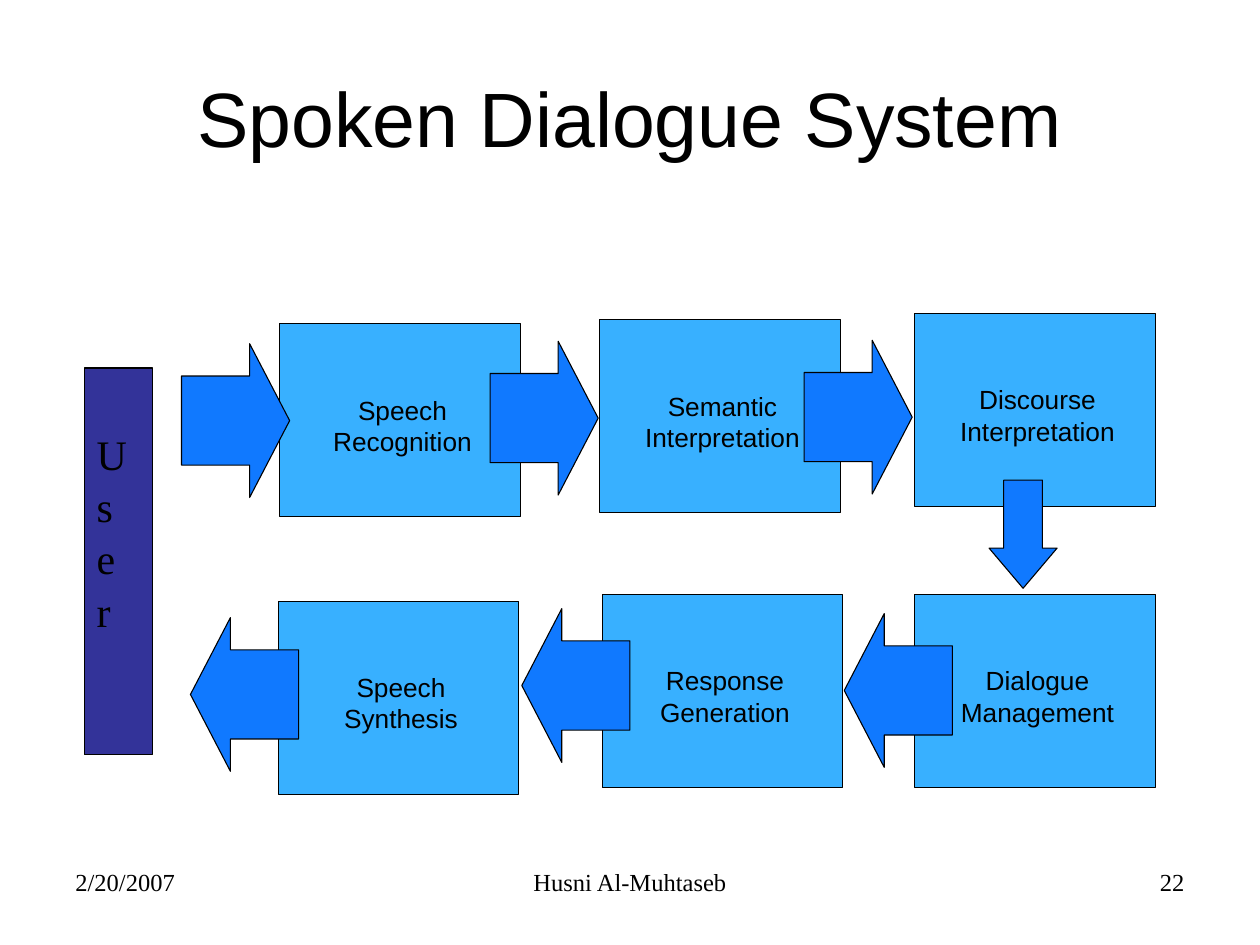
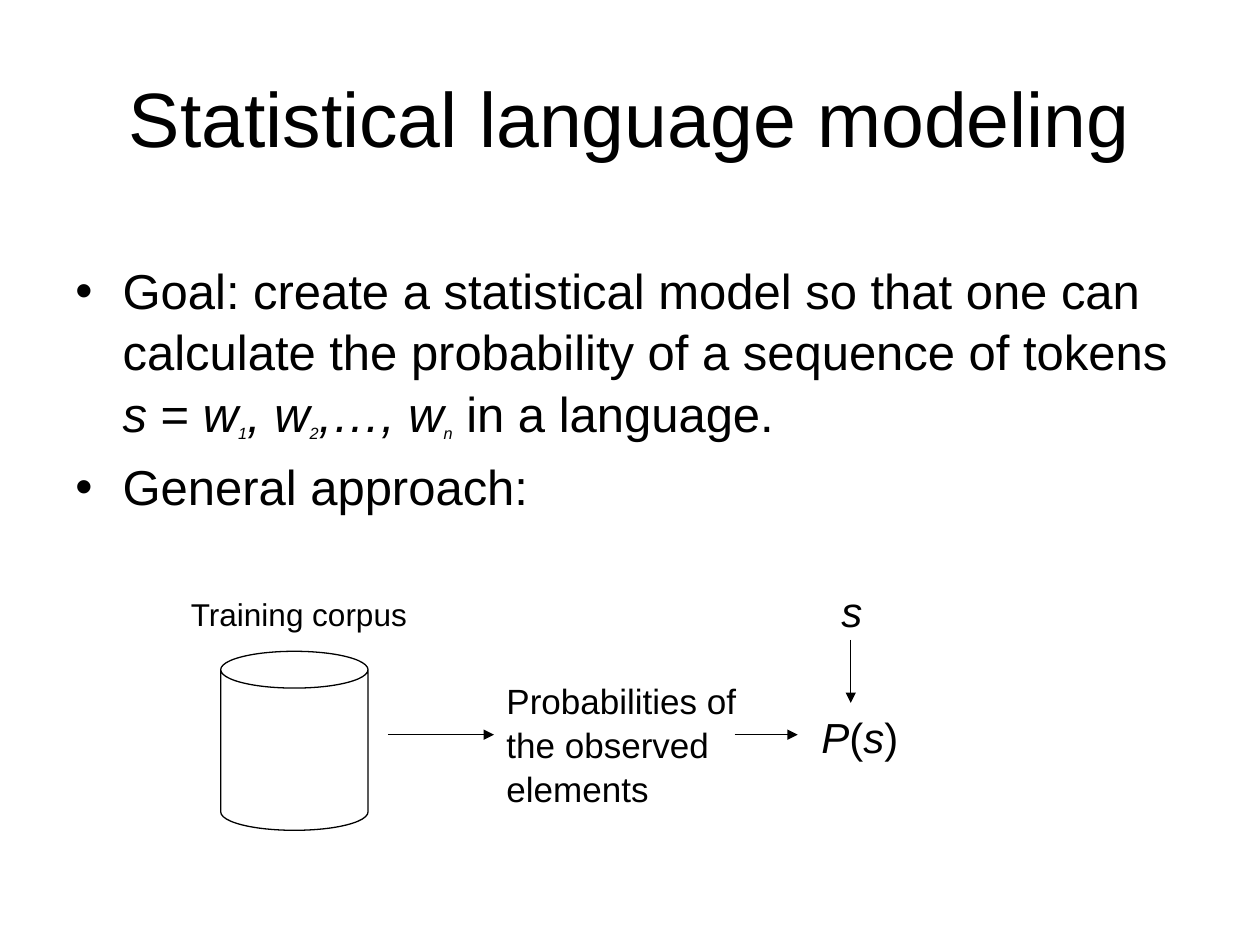
from lxml.etree import SubElement
from pptx import Presentation
from pptx.dml.color import RGBColor
from pptx.enum.shapes import MSO_CONNECTOR, MSO_SHAPE
from pptx.enum.text import MSO_ANCHOR, MSO_AUTO_SIZE, PP_ALIGN
from pptx.oxml.ns import qn
from pptx.util import Cm, Pt

BLACK, BOX_BLUE, ARROW_BLUE, USER_BLUE = "000000", "38B0FF", "1079FF", "333399"
SANS, SERIF = "Arial", "Times New Roman"
TITLE_BOX = (1.27, 0.76, 22.86, 3.18)
BODY_BOX = (1.27, 5.08, 22.86, 12.57)
PADDING = (0.25, 0.13, 0.25, 0.13)


def rgb(color):
    """Turn a hex string into a colour."""
    return RGBColor.from_string(color)


def place(sp, x, y, w, h):
    """Move and size a shape, in centimetres."""
    sp.left, sp.top, sp.width, sp.height = Cm(x), Cm(y), Cm(w), Cm(h)


def write(sp, text, size=18, font=SANS, align=PP_ALIGN.LEFT, anchor=MSO_ANCHOR.TOP,
          spacing=1.0, before=0, inset=PADDING, wrap=True):
    """Fill a shape with lines, each a string or a list of (text, style) runs."""
    tf = sp.text_frame
    tf.auto_size = MSO_AUTO_SIZE.NONE
    tf.word_wrap, tf.vertical_anchor = wrap, anchor
    tf.margin_left, tf.margin_top, tf.margin_right, tf.margin_bottom = map(Cm, inset)
    lines = text.split("\n") if isinstance(text, str) else text
    for i, line in enumerate(lines):
        p = tf.paragraphs[0] if i == 0 else tf.add_paragraph()
        p.alignment, p.line_spacing, p.space_before = align, spacing, Pt(before)
        for words, style in [(line, "")] if isinstance(line, str) else line:
            r = p.add_run()
            r.text = words
            r.font.name, r.font.color.rgb = font, rgb(BLACK)
            r.font.size = Pt(16 if "sub" in style else size)
            r.font.italic = "italic" in style
            if "sub" in style:
                r.font._element.set("baseline", "-25000")


def add_text(s, x, y, w, h, text, **fmt):
    """Add a text box."""
    write(s.shapes.add_textbox(Cm(x), Cm(y), Cm(w), Cm(h)), text, **fmt)


def add_block(s, kind, x, y, w, h, fill=None, width=0.62, adjust=()):
    """Add an outlined preset shape."""
    sp = s.shapes.add_shape(kind, Cm(x), Cm(y), Cm(w), Cm(h))
    sp.shadow.inherit = False
    if fill:
        sp.fill.solid()
        sp.fill.fore_color.rgb = rgb(fill)
    else:
        sp.fill.background()
    sp.line.color.rgb, sp.line.width = rgb(BLACK), Pt(width)
    for i, value in enumerate(adjust):
        sp.adjustments[i] = value
    return sp


def add_arrow(s, x1, y1, x2, y2):
    """Add a thin line with a triangle at its end."""
    line = s.shapes.add_connector(MSO_CONNECTOR.STRAIGHT, Cm(x1), Cm(y1), Cm(x2), Cm(y2))
    line.line.color.rgb, line.line.width = rgb(BLACK), Pt(0.74)
    SubElement(line.line._get_or_add_ln(), qn("a:tailEnd"), type="triangle")
    SubElement(line._element.spPr, qn("a:effectLst"))


def add_slide(prs, layout, title):
    """Add a slide with the shared title style."""
    s = prs.slides.add_slide(prs.slide_layouts[layout])
    place(s.shapes.title, *TITLE_BOX)
    write(s.shapes.title, title, size=44, align=PP_ALIGN.CENTER, anchor=MSO_ANCHOR.MIDDLE)
    return s


def add_footer(s, x, y, w, h, date, author, number):
    """Place date, author and slide number along a band."""
    side, middle = 5.92, 8.05
    parts = [
        (x, side, date, PP_ALIGN.LEFT),
        (x + (w - middle) / 2, middle, author, PP_ALIGN.CENTER),
        (x + w - side, side, number, PP_ALIGN.RIGHT),
    ]
    for left, width, text, align in parts:
        add_text(s, left, y, width, h, text, size=14, font=SERIF, align=align)


def dialogue_loop(s, x, y):
    """Draw the stages from the user and back, with block arrows between them."""
    stages = [
        (3.94, 0.21, "Speech\nRecognition"),
        (10.39, 0.13, "Semantic\nInterpretation"),
        (16.74, 0, "Discourse\nInterpretation"),
        (16.74, 5.67, "Dialogue\nManagement"),
        (10.44, 5.67, "Response\nGeneration"),
        (3.91, 5.8, "Speech\nSynthesis"),
    ]
    for dx, dy, label in stages:
        sp = add_block(s, MSO_SHAPE.RECTANGLE, x + dx, y + dy, 4.85, 3.89, BOX_BLUE)
        write(sp, label, size=15, align=PP_ALIGN.CENTER, anchor=MSO_ANCHOR.MIDDLE,
              inset=(0.1, 0.2, 0, 0))
    arrows = {
        MSO_SHAPE.RIGHT_ARROW: [(1.96, 0.61), (8.18, 0.56), (14.51, 0.54)],
        MSO_SHAPE.LEFT_ARROW: [(15.32, 6.05), (8.82, 5.95), (2.14, 6.13)],
    }
    for kind, spots in arrows.items():
        for dx, dy in spots:
            add_block(s, kind, x + dx, y + dy, 2.18, 3.1, ARROW_BLUE, adjust=(0.58, 0.37))
    add_block(s, MSO_SHAPE.DOWN_ARROW, x + 18.24, y + 3.36, 1.37, 2.18, ARROW_BLUE,
              adjust=(0.57, 0.59))
    user = add_block(s, MSO_SHAPE.RECTANGLE, x, y + 1.1, 1.37, 7.8, USER_BLUE)
    write(user, "U\ns\ne\nr", size=24, font=SERIF, spacing=1.04, inset=(0.25, 1.17, 0.25, 0.13))


def corpus_flow(s, x, y):
    """Draw the way from the training corpus to the probability of s."""
    add_block(s, MSO_SHAPE.CAN, x + 0.85, y + 1.5, 2.97, 3.61, width=0.74, adjust=(0.25,))
    add_text(s, x, y + 0.23, 5.08, 1.02, "Training corpus", size=18)
    add_text(s, x + 6.36, y + 1.91, 5.28, 2.79, "Probabilities of the observed elements",
             size=20, spacing=1.04)
    add_text(s, x + 13.11, y, 1.42, 1.27, [[("s", "italic")]], size=24, spacing=1.04)
    add_text(s, x + 12.71, y + 2.54, 2.06, 1.27,
             [[("P", "italic"), ("(", ""), ("s", "italic"), (")", "")]],
             size=24, spacing=1.04, wrap=False)
    add_arrow(s, x + 4.22, y + 3.18, x + 6.36, y + 3.18)
    add_arrow(s, x + 11.21, y + 3.18, x + 12.48, y + 3.18)
    add_arrow(s, x + 13.55, y + 1.27, x + 13.55, y + 2.54)


def dialogue_slide(prs):
    """Build the slide on the dialogue system."""
    s = add_slide(prs, 5, "Spoken Dialogue System")
    add_footer(s, 1.27, 17.35, 22.86, 1.32, "2/20/2007", "Husni Al-Muhtaseb", "22")
    dialogue_loop(s, 1.7, 6.32)


def modeling_slide(prs):
    """Build the slide on language modeling."""
    s = add_slide(prs, 1, "Statistical language modeling")
    goal = [
        ("Goal: create a statistical model so that one can calculate the probability "
         "of a sequence of tokens ", ""),
        ("s", "italic"), (" = ", ""),
        ("w", "italic"), ("1", "italic sub"),
        (", w", "italic"), ("2", "italic sub"),
        (",…, w", "italic"), ("n", "italic sub"),
        (" in a language.", ""),
    ]
    body = s.placeholders[1]
    place(body, *BODY_BOX)
    write(body, [goal, "General approach:"], size=28, spacing=1.04, before=7)
    corpus_flow(s, 3.6, 11.63)


prs = Presentation()
prs.slide_width, prs.slide_height = Cm(25.4), Cm(19.05)
dialogue_slide(prs)
modeling_slide(prs)
prs.save("out.pptx")
